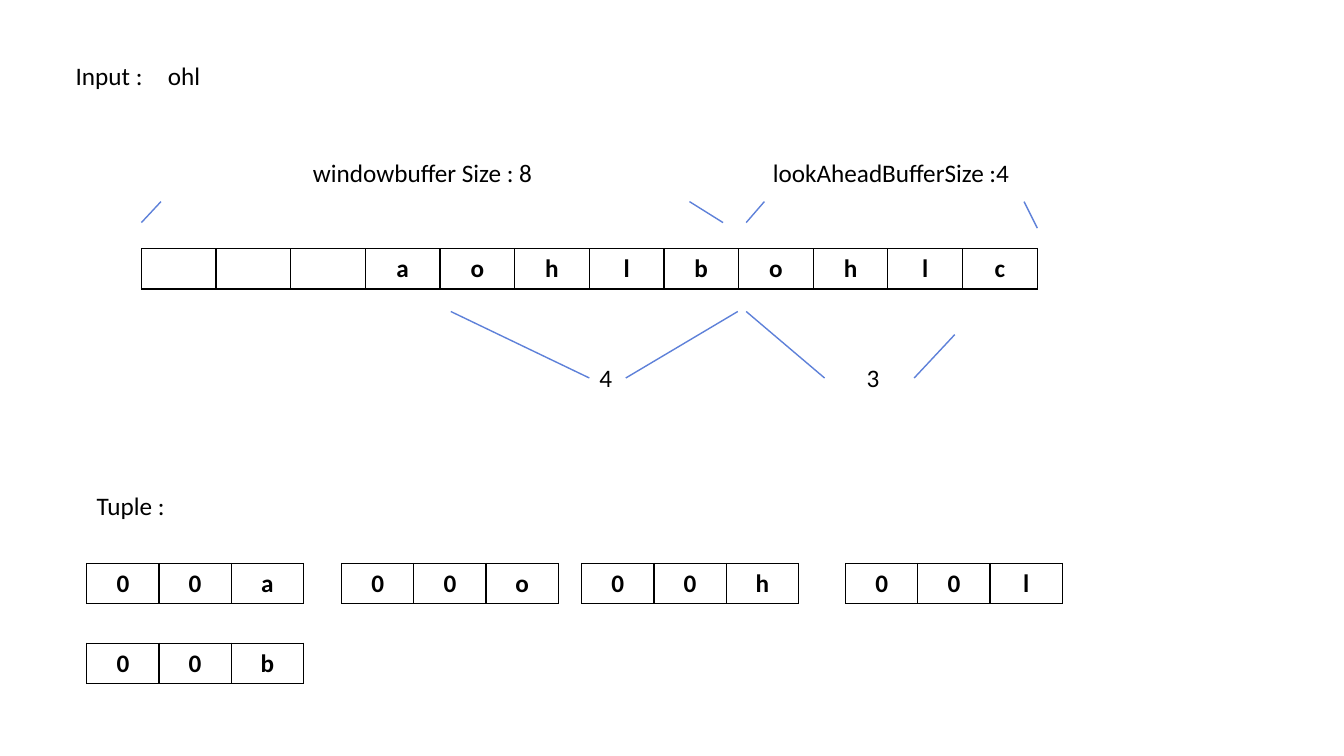
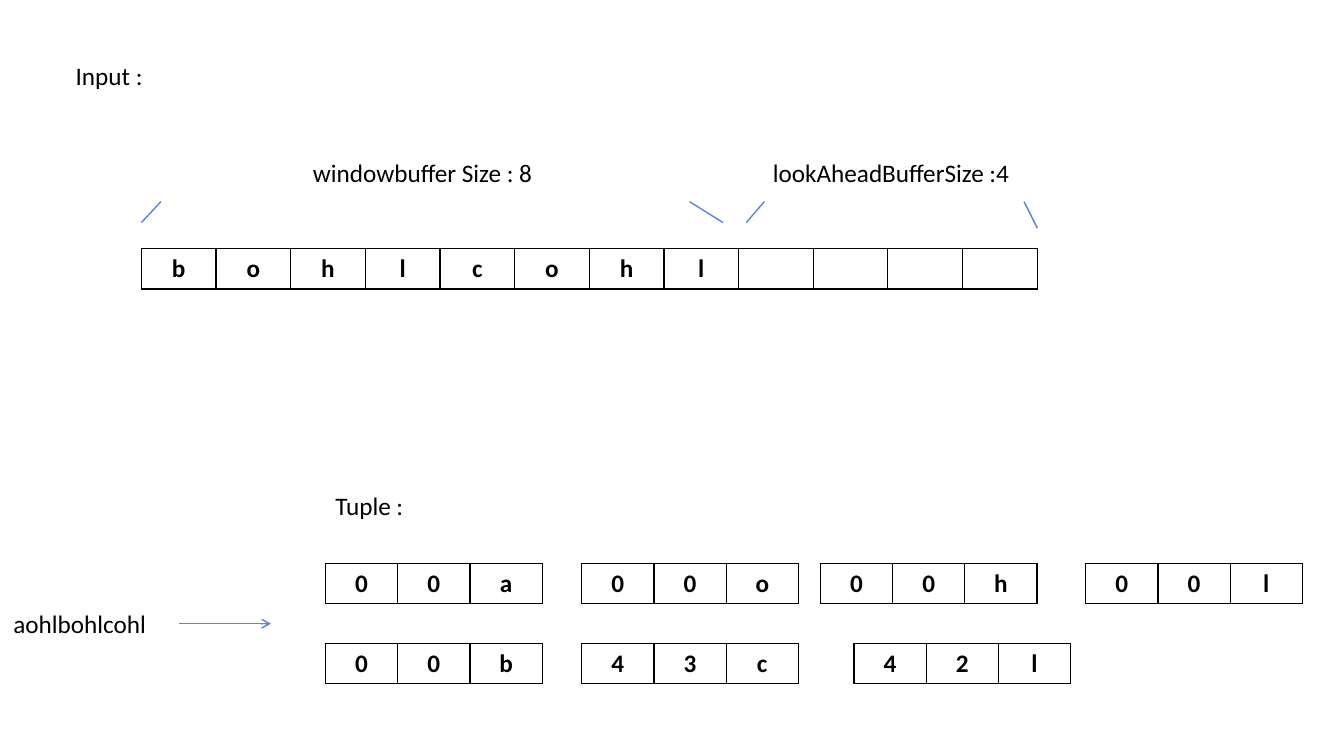
"""Build two slides that step through a sliding window compression."""
from lxml.etree import SubElement
from pptx import Presentation
from pptx.dml.color import RGBColor
from pptx.enum.shapes import MSO_CONNECTOR
from pptx.enum.text import MSO_AUTO_SIZE, PP_ALIGN
from pptx.oxml.ns import qn
from pptx.util import Pt

BLACK = RGBColor(0, 0, 0)
WHITE = RGBColor(255, 255, 255)
BLUE = RGBColor(0x5E, 0x81, 0xD9)
FACE = "Calibri"
SIZE = 18
HIGH = 28.8
SLOT = 53.33
PART = 51.6
TOP, LOW = 402.4, 459.4
MARKS = [(101, 159, 115, 144), (492.5, 144, 516.5, 159),
         (533, 159, 546, 144), (731.5, 144, 741, 163)]
SPANS = [(322, 222.5, 421, 270), (527, 222.5, 447, 270),
         (533, 222.5, 589, 270), (682, 239, 653, 270)]


def style(para, bold=False):
    para.font.name = FACE
    para.font.size = Pt(SIZE)
    para.font.bold = bold
    para.font.color.rgb = BLACK


def label(slide, text, left, top, wide):
    box = slide.shapes.add_textbox(Pt(left), Pt(top), Pt(wide), Pt(HIGH))
    frame = box.text_frame
    frame.word_wrap = True
    frame.auto_size = MSO_AUTO_SIZE.SHAPE_TO_FIT_TEXT
    frame.text = text
    style(frame.paragraphs[0])


def line(slide, ends, arrow=False):
    link = slide.shapes.add_connector(
        MSO_CONNECTOR.STRAIGHT, *[Pt(end) for end in ends])
    link.line.color.rgb = BLUE
    link.line.width = Pt(1)
    if arrow:
        SubElement(link.line._get_or_add_ln(), qn("a:tailEnd"), type="arrow")
    props = link._element.find(qn("p:spPr"))
    SubElement(props, qn("a:effectLst"))


def border(cell):
    props = cell._tc.get_or_add_tcPr()
    for side in ("lnL", "lnR", "lnT", "lnB"):
        edge = SubElement(props, qn(f"a:{side}"), w=str(Pt(1)))
        fill = SubElement(edge, qn("a:solidFill"))
        SubElement(fill, qn("a:srgbClr"), val=str(BLACK))


def strip(slide, text, left, top, wide):
    """Draw one table row with a character of the text in each cell."""
    frame = slide.shapes.add_table(
        1, len(text), Pt(left), Pt(top), Pt(wide * len(text)), Pt(HIGH))
    table = frame.table
    table.first_row = table.horz_banding = False
    for col, char in zip(table.columns, text):
        col.width = Pt(wide)
    for cell, char in zip(table.iter_cells(), text):
        border(cell)
        cell.fill.solid()
        cell.fill.fore_color.rgb = WHITE
        cell.text = char.strip()
        para = cell.text_frame.paragraphs[0]
        para.alignment = PP_ALIGN.CENTER
        style(para, bold=True)


def scene(deck, entry, buffer, left, tuples):
    """Add a slide with its input, buffers and output tuples."""
    slide = deck.slides.add_slide(deck.slide_layouts[6])
    label(slide, entry, 47, 39.8, 197)
    label(slide, "windowbuffer Size : 8", 216.5, 108.8, 175)
    label(slide, "lookAheadBufferSize :4", 545, 108.8, 187)
    label(slide, "Tuple :", left, 347, 67)
    strip(slide, buffer, 101, 177.6, SLOT)
    for ends in MARKS:
        line(slide, ends)
    for text, start, top in tuples:
        strip(slide, text, start, top, PART)
    return slide


def main():
    deck = Presentation()
    deck.slide_width, deck.slide_height = Pt(960), Pt(540)

    first = scene(deck, "Input :　ohl", "   aohlbohlc", 62, [
        ("00a", 62, TOP), ("00o", 244, TOP), ("00h", 415.5, TOP),
        ("00l", 604, TOP), ("00b", 62, LOW)])
    for ends in SPANS:
        line(first, ends)
    label(first, "4", 421, 255.6, 26)
    label(first, "3", 612, 255.6, 26)

    last = scene(deck, "Input :", "bohlcohl    ", 232.5, [
        ("00a", 232.5, TOP), ("00o", 415.5, TOP), ("00h", 586, TOP),
        ("00l", 775.5, TOP), ("00b", 232.5, LOW), ("43c", 415.5, LOW),
        ("42l", 610, LOW)])
    label(last, "aohlbohlcohl", 2.5, 431, 113)
    line(last, (128, 445.5, 193.5, 445.5), arrow=True)

    deck.save("out.pptx")


if __name__ == "__main__":
    main()
